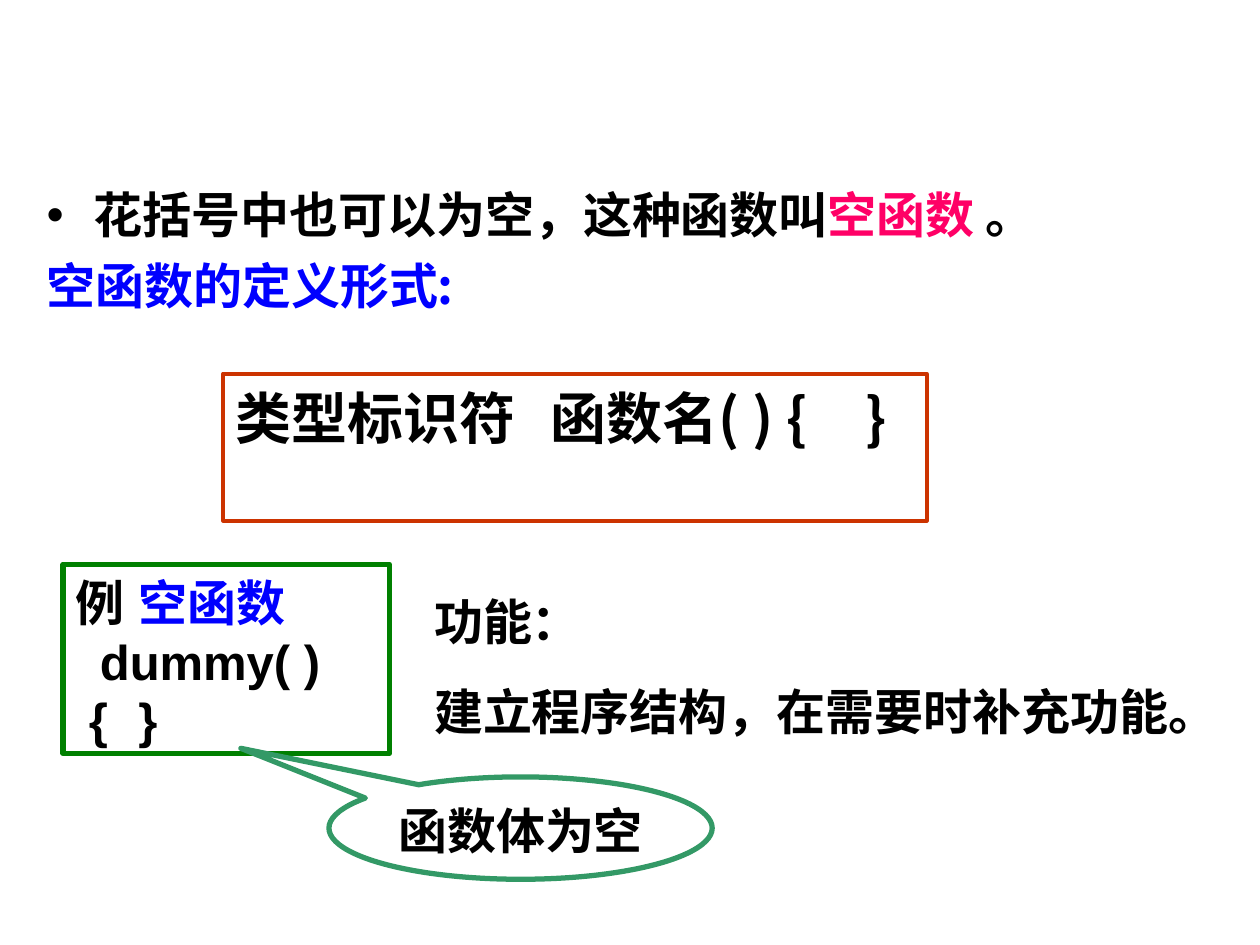
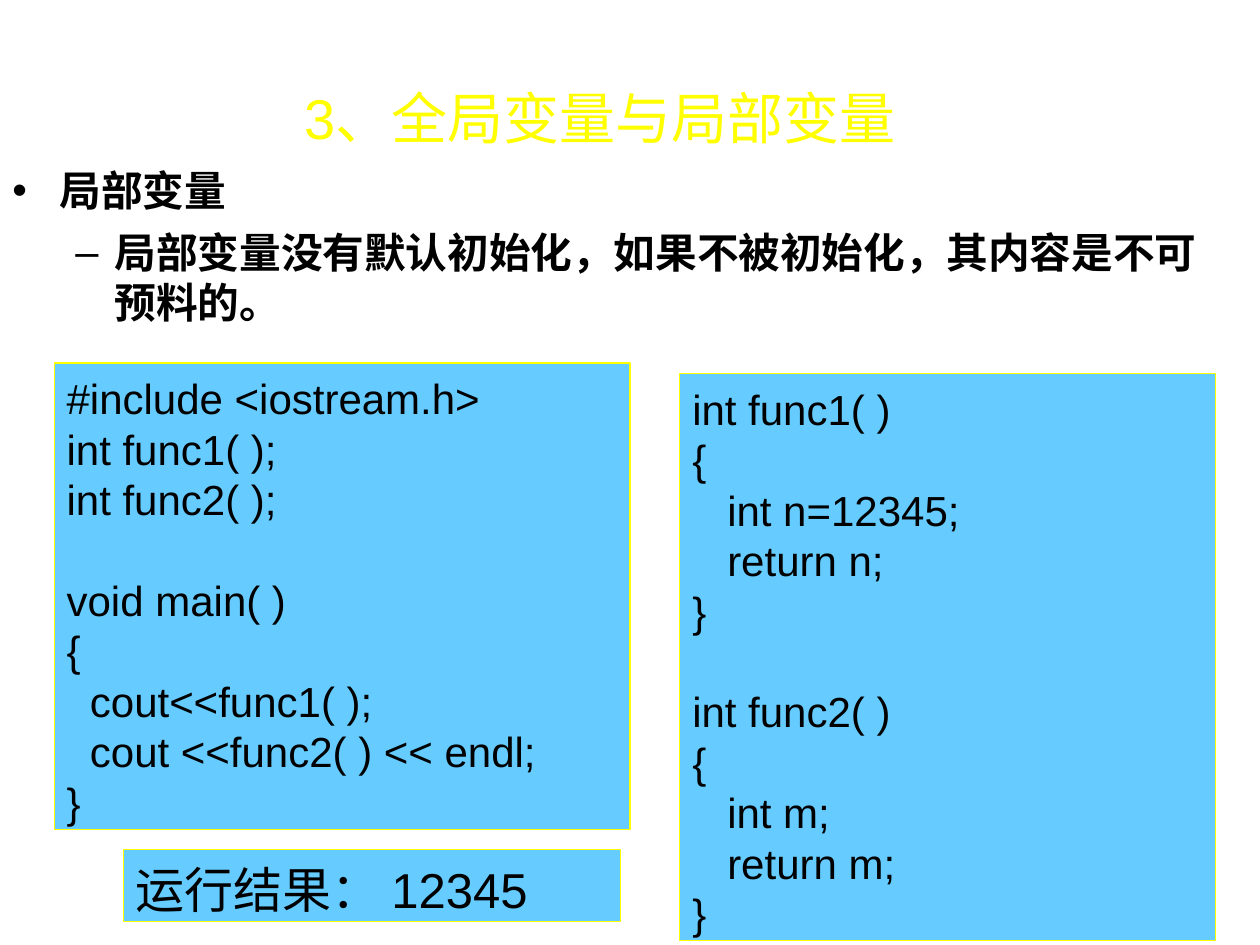
"""Two lesson slides on C++ functions: empty functions and local variables."""
from lxml.etree import SubElement
from pptx import Presentation
from pptx.dml.color import RGBColor
from pptx.enum.shapes import MSO_SHAPE
from pptx.enum.text import MSO_ANCHOR, PP_ALIGN
from pptx.oxml.ns import qn
from pptx.util import Pt

BLACK, BLUE, PINK, YELLOW, WHITE = "000000", "0000FF", "FF0066", "FFFF00", "FFFFFF"
SKY = "66CCFF"
CJK, SANS, SERIF = "Noto Sans CJK SC", "Arial", "Times New Roman"


def rgb(value):
    return RGBColor.from_string(value)


def add_box(s, at, paras, size, font, bold=False, kind=None, fill=None, line=None,
            gap=0, anchor=MSO_ANCHOR.TOP, align=PP_ALIGN.LEFT, wrap=True):
    left, top, width, height = [Pt(v) for v in at]
    if kind is None:
        sp = s.shapes.add_textbox(left, top, width, height)
    else:
        sp = s.shapes.add_shape(kind, left, top, width, height)
        sp.shadow.inherit = False
        if fill:
            sp.fill.solid()
            sp.fill.fore_color.rgb = rgb(fill)
        else:
            sp.fill.background()
        sp.line.color.rgb = rgb(line[0])
        sp.line.width = Pt(line[1])
    tf = sp.text_frame
    tf.word_wrap = wrap
    tf.vertical_anchor = anchor
    tf.margin_left = tf.margin_right = Pt(7.2)
    tf.margin_top, tf.margin_bottom = Pt(5.6), Pt(3.6)
    for i, (runs, opts) in enumerate(paras):
        p = tf.paragraphs[0] if i == 0 else tf.add_paragraph()
        p.alignment = align
        p.line_spacing = Pt(round(size * 1.2, 1))
        p.space_before = Pt(opts.get("before", gap))
        pPr = p._p.get_or_add_pPr()
        pPr.set("marL", str(Pt(opts.get("margin", 0))))
        pPr.set("indent", str(Pt(opts.get("indent", 0))))
        if "bullet" in opts:
            SubElement(pPr, qn("a:buFont"), typeface=SANS)
            SubElement(pPr, qn("a:buChar"), char=opts["bullet"])
        else:
            SubElement(pPr, qn("a:buNone"))
        if "tabs" in opts:
            tabs = SubElement(pPr, qn("a:tabLst"))
            for pos in opts["tabs"]:
                SubElement(tabs, qn("a:tab"), pos=str(Pt(pos)), algn="l")
        for text, color in runs:
            r = p.add_run()
            r.text = text
            r.font.size = Pt(size)
            r.font.bold = bold
            r.font.color.rgb = rgb(color)
            r.font.name = opts.get("font", font)
            SubElement(r._r.get_or_add_rPr(), qn("a:ea"), typeface=CJK)
    return sp


prs = Presentation()
prs.slide_width, prs.slide_height = Pt(720), Pt(540)
blank = prs.slide_layouts[6]
bullet = {"bullet": "•", "margin": 27, "indent": -27}
dash = {"bullet": "–", "margin": 58.5, "indent": -22.5}

s = prs.slides.add_slide(blank)
add_box(s, (19.5, 100, 680.5, 102), [
    ([("花括号中也可以为空，这种函数叫", BLACK), ("空函数", PINK), (" 。", BLACK)], bullet),
    ([("空函数的定义形式:", BLUE)], {}),
], 28, CJK, bold=True, gap=7)
add_box(s, (127.5, 213.5, 402, 84), [
    ([("类型标识符\t函数名( ) {\t}", BLACK)], {"tabs": [174, 356]}),
], 32, CJK, bold=True, kind=MSO_SHAPE.RECTANGLE, line=("CC3300", 2.25))
add_box(s, (36, 322.5, 186.5, 108), [
    ([("例\t", BLACK), ("空函数", BLUE)], {"tabs": [46.5]}),
    ([("dummy( )", BLACK)], {"margin": 14, "font": SANS}),
    ([(" {\t}", BLACK)], {"tabs": [34], "font": SANS}),
], 28, CJK, bold=True, kind=MSO_SHAPE.RECTANGLE, fill=WHITE, line=("008000", 3),
    anchor=MSO_ANCHOR.MIDDLE)
callout = add_box(s, (188, 444, 219, 58.5), [([("函数体为空", BLACK)], {})], 28, SERIF,
                  bold=True, kind=MSO_SHAPE.OVAL_CALLOUT, fill=WHITE, line=("339966", 3),
                  anchor=MSO_ANCHOR.MIDDLE, align=PP_ALIGN.CENTER, wrap=False)
callout.adjustments[0], callout.adjustments[1] = -0.73, -0.78
add_box(s, (241, 332.5, 479, 92), [
    ([(text, BLACK)], {}) for text in ("功能：", "建立程序结构，在需要时补充功能。")
], 28, SERIF, bold=True, gap=17.5)

s = prs.slides.add_slide(blank)
add_box(s, (0, 88.5, 702.5, 102), [
    ([("局部变量", BLACK)], bullet),
    ([("局部变量没有默认初始化，如果不被初始化，其内容是不可预料的。", BLACK)], dash),
], 23.8, SANS, bold=True, gap=7)
add_box(s, (167, 37.5, 386, 57), [([("3、全局变量与局部变量", YELLOW)], {})], 32, SANS,
        anchor=MSO_ANCHOR.MIDDLE)

step, skip = {"margin": 13.3}, {"before": 28.8}
deep = {"margin": 20}
main_code = [
    ("#include <iostream.h>", {}), ("int func1( );", {}), ("int func2( );", {}),
    ("void main( )", skip), ("{", {}), ("cout<<func1( );", step),
    ("cout <<func2( ) << endl;", step), ("}", {}),
]
func_code = [
    ("int func1( )", {}), ("{", {}), ("int n=12345;", deep), ("return n;", deep), ("}", {}),
    ("int func2( )", skip), ("{", {}), ("int m;", deep), ("return m;", deep), ("}", {}),
]
result = [("运行结果： 12345", {})]
for at, lines, size in (
    ((31, 207.5, 329, 266.5), main_code, 24),
    ((388.5, 213.5, 306, 324), func_code, 24),
    ((70.5, 485.5, 284, 41), result, 28),
):
    add_box(s, at, [([(text, BLACK)], opts) for text, opts in lines], size, SANS,
            kind=MSO_SHAPE.RECTANGLE, fill=SKY, line=(YELLOW, 0.75))

prs.save("out.pptx")
